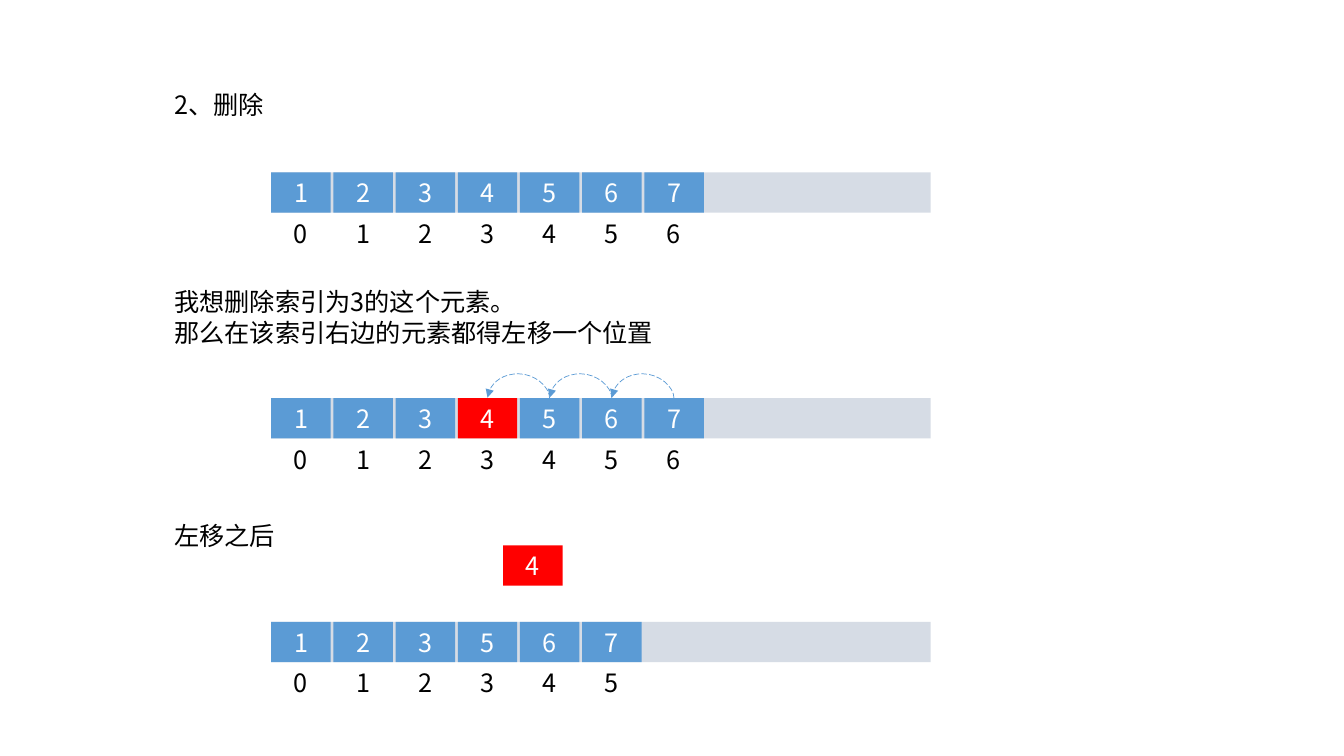
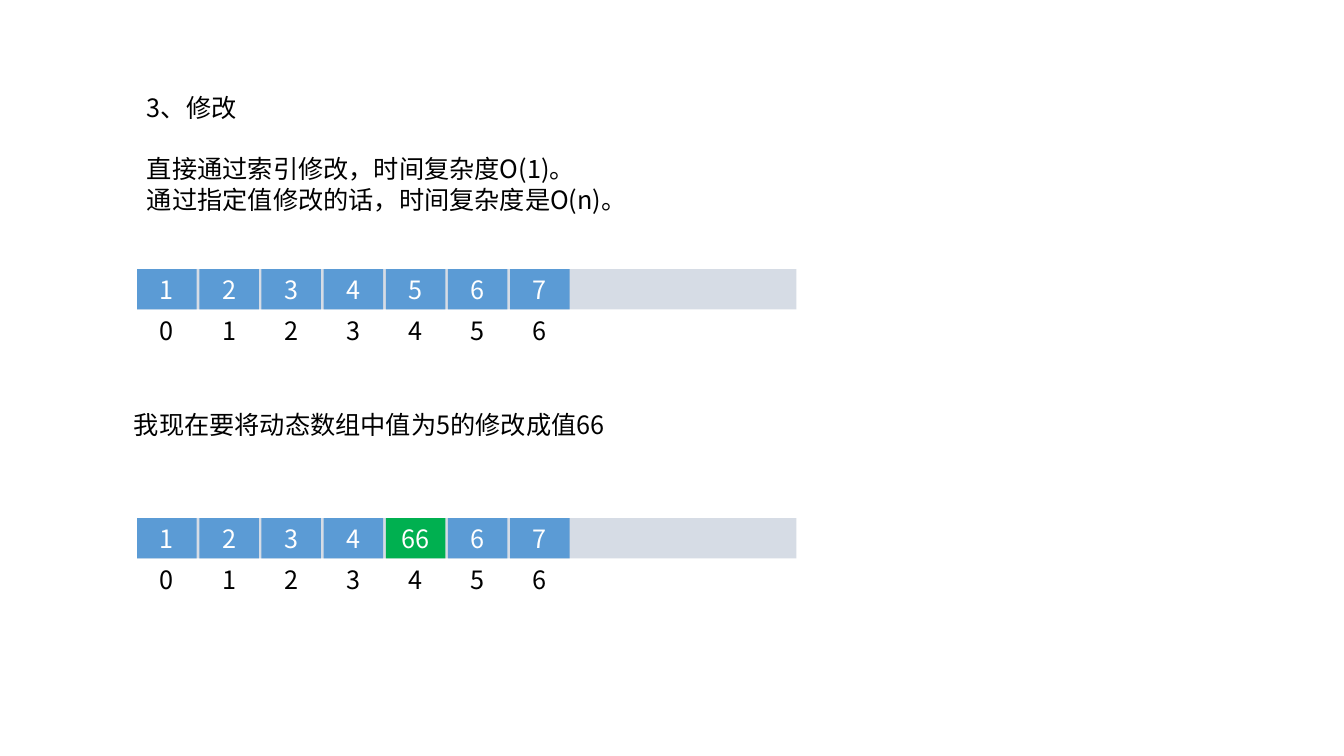
"""Build two slides on deleting and changing items of a dynamic array."""
from lxml import etree
from pptx import Presentation
from pptx.dml.color import RGBColor
from pptx.enum.dml import MSO_LINE
from pptx.enum.shapes import MSO_CONNECTOR, MSO_SHAPE
from pptx.enum.text import MSO_ANCHOR, MSO_AUTO_SIZE, PP_ALIGN
from pptx.oxml.ns import qn
from pptx.util import Pt

RECT, CURVE = MSO_SHAPE.RECTANGLE, MSO_CONNECTOR.CURVE
DASH, GROW = MSO_LINE.LONG_DASH, MSO_AUTO_SIZE.SHAPE_TO_FIT_TEXT
MID, LEFT, MIDDLE = MSO_ANCHOR.MIDDLE, PP_ALIGN.LEFT, PP_ALIGN.CENTER
PX = 9144
FONT = "Noto Sans CJK SC"
BLUE, GREY, RED, GREEN = "5B9BD5", "D6DCE5", "FF0000", "00B050"
BLACK, WHITE = "000000", "FFFFFF"
SIZE, LEAD = 18, 22
WIDE, HIGH, CELL, LABEL = 654, 40, 59, 34
SPAN, STEPS = 370, 6
RISE = 25

SEVEN = ["1", "2", "3", "4", "5", "6", "7"]
SLIDES = [
    {
        "left": 269,
        "texts": [
            (163, 83, 109, 71, [("2、删除", 0)]),
            (163, 279, 500, 71, [("我想删除索引为3的这个元素。", 0),
                                 ("那么在该索引右边的元素都得左移一个位置", 0)]),
            (163, 511, 121, 40, [("左移之后", 0)]),
        ],
        "rows": [
            {"top": 171, "items": SEVEN},
            {"top": 395, "items": SEVEN, "marks": {3: RED}, "moves": [5, 6, 4]},
            {"top": 617, "items": ["1", "2", "3", "5", "6", "7"]},
        ],
        "loose": [(499, 541, "4", RED)],
    },
    {
        "left": 136,
        "texts": [
            (136, 86, 497, 162, [("3、修改", 0),
                                 ("直接通过索引修改，时间复杂度O(1)。", LEAD),
                                 ("通过指定值修改的话，时间复杂度是O(n)。", 0)]),
            (123, 401, 489, 71, [("我现在要将动态数组中值为5的修改成值66", 0)]),
        ],
        "rows": [
            {"top": 267, "items": SEVEN},
            {"top": 514, "items": ["1", "2", "3", "4", "66", "6", "7"],
             "marks": {4: GREEN}},
        ],
        "loose": [],
    },
]


def px(*vals):
    return [round(val * PX) for val in vals]


def rgb(code):
    return RGBColor.from_string(code)


def write(frame, lines, color, align):
    frame.word_wrap = True
    for num, (text, gap) in enumerate(lines):
        para = frame.paragraphs[0] if num == 0 else frame.add_paragraph()
        para.alignment = align
        para.line_spacing = Pt(LEAD)
        para.space_before = Pt(gap)
        run = para.add_run()
        run.text = text
        run.font.size = Pt(SIZE)
        run.font.name = FONT
        run.font.color.rgb = rgb(color)
        east = etree.SubElement(run.font._element, qn("a:ea"))
        east.set("typeface", FONT)


def label(slide, x, y, w, h, lines, align=LEFT):
    box = slide.shapes.add_textbox(*px(x, y, w, h))
    write(box.text_frame, lines, BLACK, align)
    box.text_frame.auto_size = GROW


def block(slide, x, y, w, fill, text=None):
    box = slide.shapes.add_shape(RECT, *px(x, y, w, HIGH))
    box.shadow.inherit = False
    box.fill.solid()
    box.fill.fore_color.rgb = rgb(fill)
    box.line.fill.background()
    if text:
        box.text_frame.vertical_anchor = MID
        write(box.text_frame, [(text, 0)], WHITE, MIDDLE)


def arc(slide, start, end, y):
    """Draw a dashed arrow that curves up from start and down to end."""
    mid, half = (start + end) / 2, (start - end) / 2
    link = slide.shapes.add_connector(
        CURVE, *px(mid - 0.5, y + half, mid + 0.5, y - half))
    link.line.color.rgb = rgb(BLUE)
    link.line.width = Pt(0.5)
    link.line.dash_style = DASH
    props = link._element.spPr
    props.find(qn("a:xfrm")).set("rot", "16200000")
    guide = etree.SubElement(props.find(".//" + qn("a:avLst")), qn("a:gd"))
    guide.set("name", "adj1")
    guide.set("fmla", f"val {RISE * 100000}")
    etree.SubElement(props.find(qn("a:ln")), qn("a:tailEnd")).set("type", "triangle")
    etree.SubElement(props, qn("a:effectLst"))


def draw_row(slide, left, top, items, marks=None, moves=()):
    block(slide, left, top, WIDE, GREY)
    spots = [left + num * SPAN / STEPS for num in range(len(items))]
    mids = [spot + CELL / 2 for spot in spots]
    for num, item in enumerate(items):
        block(slide, spots[num], top, CELL, (marks or {}).get(num, BLUE), item)
        label(slide, mids[num] - LABEL / 2, top + HIGH, LABEL, HIGH,
              [(str(num), 0)], MIDDLE)
    for num in moves:
        arc(slide, mids[num], mids[num - 1], top)


def main():
    deck = Presentation()
    deck.slide_width, deck.slide_height = px(1333, 750)
    for page in SLIDES:
        slide = deck.slides.add_slide(deck.slide_layouts[6])
        for text in page["texts"]:
            label(slide, *text)
        for row in page["rows"]:
            draw_row(slide, page["left"], **row)
        for x, y, text, fill in page["loose"]:
            block(slide, x, y, CELL, fill, text)
    deck.save("out.pptx")


if __name__ == "__main__":
    main()
